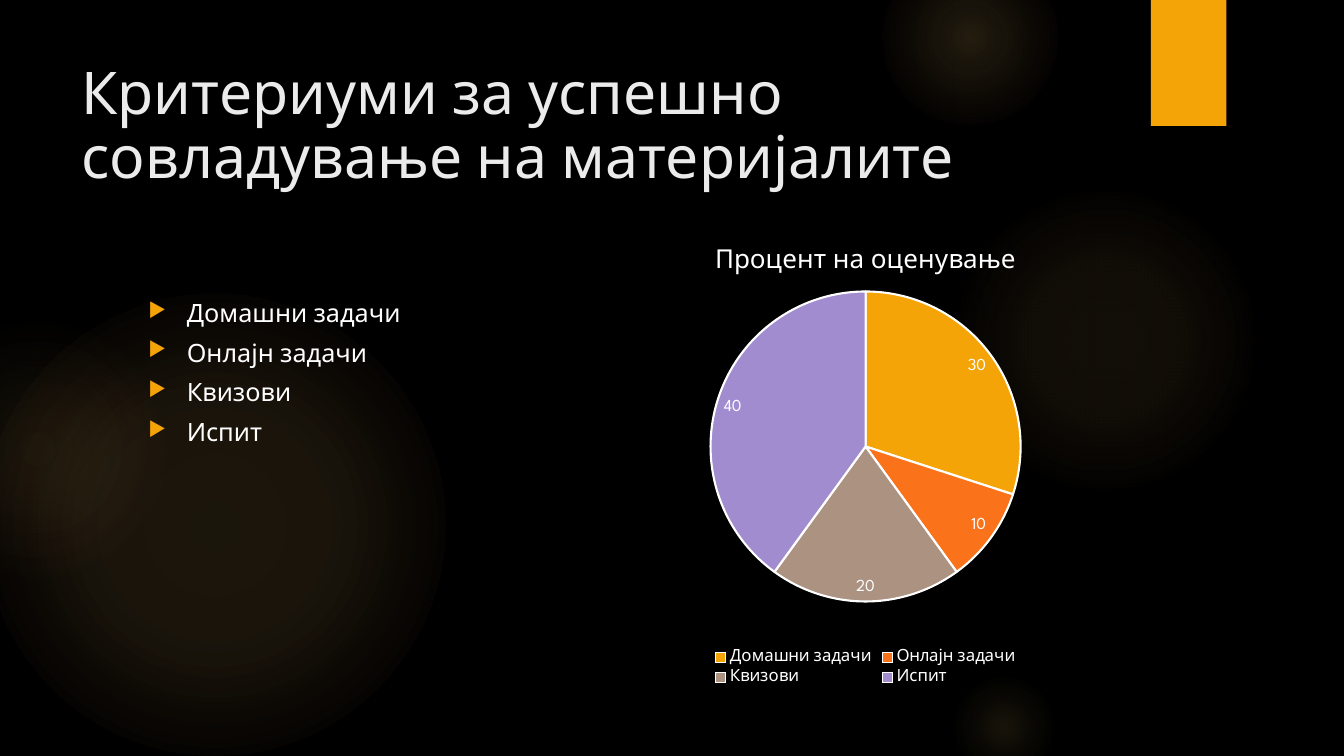
from lxml import etree
from pptx import Presentation
from pptx.chart.data import CategoryChartData
from pptx.dml.color import RGBColor
from pptx.enum.chart import XL_CHART_TYPE as CT, XL_LABEL_POSITION as LP, XL_LEGEND_POSITION as LEG
from pptx.enum.shapes import MSO_SHAPE as SHAPE
from pptx.enum.text import MSO_ANCHOR as ANCHOR, MSO_AUTO_SIZE as FIT, PP_ALIGN as ALIGN
from pptx.oxml import parse_xml
from pptx.oxml.ns import nsdecls, qn
from pptx.util import Inches, Pt

BLACK = RGBColor(0x00, 0x00, 0x00)
WHITE = RGBColor(0xFF, 0xFF, 0xFF)
PALE = RGBColor(0xEB, 0xEB, 0xEB)
AMBER = RGBColor(0xF5, 0xA4, 0x08)
ORANGE = RGBColor(0xFA, 0x73, 0x1A)
TAUPE = RGBColor(0xAB, 0x92, 0x81)
LILAC = RGBColor(0xA1, 0x8C, 0xD0)
GLOW = RGBColor(0xFA, 0xC9, 0x6A)
EMBER = RGBColor(0xF5, 0x9B, 0x74)
FONT = "League Spartan"

prs = Presentation()
prs.slide_width, prs.slide_height = Inches(13.33), Inches(7.5)
COLS = 160
unit = prs.slide_width / COLS


def grid(*cells):
    return [round(c * unit) for c in cells]


def style(font, size, color):
    for name, value in {"name": FONT, "size": Pt(size), "bold": False}.items():
        setattr(font, name, value)
    font.color.rgb = color


s = prs.slides.add_slide(prs.slide_layouts[5])
s.background.fill.solid()
s.background.fill.fore_color.rgb = BLACK

glows = [
    (-2, 35, 55, [(0, GLOW, 11), (36, GLOW, 10), (75, GLOW, 0)]),
    (-11, 38, 31, [(0, GLOW, 8), (36, GLOW, 5), (71, EMBER, 0)]),
    (113, 22, 37, [(0, GLOW, 7), (36, GLOW, 6), (69, GLOW, 0)]),
    (105, -6, 21, [(0, GLOW, 14), (36, GLOW, 7), (73, GLOW, 0)]),
    (113, 80, 13, [(0, GLOW, 10), (31, GLOW, 5), (66, GLOW, 0)]),
]
for col, row, size, stops in glows:
    sp = s.shapes.add_shape(SHAPE.OVAL, *grid(col, row, size, size))
    sp.shadow.inherit = False
    sp.line.fill.background()
    gs = "".join(
        f'<a:gs pos="{pos * 1000}"><a:srgbClr val="{color}">'
        f'<a:alpha val="{alpha * 1000}"/></a:srgbClr></a:gs>'
        for pos, color, alpha in stops)
    geom = sp.element.spPr.find(qn("a:prstGeom"))
    geom.addnext(parse_xml(
        f'<a:gradFill {nsdecls("a")}><a:gsLst>{gs}</a:gsLst><a:path path="circle">'
        '<a:fillToRect l="50000" t="50000" r="50000" b="50000"/></a:path></a:gradFill>'))

sp = s.shapes.add_shape(SHAPE.RECTANGLE, *grid(137, 0, 9, 15))
sp.shadow.inherit = False
sp.fill.solid()
sp.fill.fore_color.rgb = AMBER
sp.line.fill.background()

title = s.shapes.title
title.left, title.top, title.width, title.height = grid(8.5, 6, 123.5, 18.4)
tf = title.text_frame
tf.text = "Критериуми за успешно совладување на материјалите"
for name, value in {"word_wrap": True, "auto_size": FIT.NONE,
                    "vertical_anchor": ANCHOR.MIDDLE}.items():
    setattr(tf, name, value)
p = tf.paragraphs[0]
p.alignment, p.line_spacing = ALIGN.LEFT, 0.9
style(p.runs[0].font, 42, PALE)

criteria = {
    "Домашни задачи": (30, AMBER),
    "Онлајн задачи": (10, ORANGE),
    "Квизови": (20, TAUPE),
    "Испит": (40, LILAC),
}
tf = s.shapes.add_textbox(*grid(16.5, 34.8, 57.7, 55.1)).text_frame
tf.word_wrap = True
tf.text = "\n".join(criteria)
for p in tf.paragraphs:
    p.space_before, p.space_after = Pt(0), Pt(6.75)
    style(p.runs[0].font, 18, WHITE)
    pPr = p._p.get_or_add_pPr()
    indent = Inches(0.38)
    pPr.set("marL", str(indent))
    pPr.set("indent", str(-indent))
    color = etree.SubElement(pPr, qn("a:buClr"))
    etree.SubElement(color, qn("a:srgbClr"), val=str(AMBER))
    etree.SubElement(pPr, qn("a:buSzPct"), val="80000")
    etree.SubElement(pPr, qn("a:buChar"), char="▶")

data = CategoryChartData()
data.categories = list(criteria)
data.add_series("Series 1", [value for value, _ in criteria.values()])
chart = s.shapes.add_chart(CT.PIE, *grid(74.2, 27, 57.7, 55.1), data).chart
style(chart.font, 10, WHITE)
chart.has_title = True
tf = chart.chart_title.text_frame
tf.text = "Процент на оценување"
style(tf.paragraphs[0].runs[0].font, 18.6, WHITE)
chart.has_legend = True
chart.legend.position = LEG.BOTTOM
chart.legend.include_in_layout = False
style(chart.legend.font, 12, WHITE)

plot = chart.plots[0]
plot.vary_by_categories = True
plot.has_data_labels = True
labels = plot.data_labels
for name, value in {"show_value": True, "show_percentage": False,
                    "position": LP.INSIDE_END}.items():
    setattr(labels, name, value)
style(labels.font, 12, WHITE)
for i, (_, color) in enumerate(criteria.values()):
    fmt = plot.series[0].points[i].format
    fmt.fill.solid()
    fmt.fill.fore_color.rgb = color
    fmt.line.color.rgb = WHITE
    fmt.line.width = Pt(1.5)

area = chart._chartSpace.chart.plotArea
for layout in area.findall(qn("c:layout")):
    area.remove(layout)
frame = {"x": 0.176, "y": 0.141, "w": 0.637, "h": 0.666}
sizes = "".join(f'<c:{k} val="{v:.2f}"/>' for k, v in frame.items())
area.insert(0, parse_xml(
    f'<c:layout {nsdecls("c")}><c:manualLayout><c:layoutTarget val="inner"/>'
    f'<c:xMode val="edge"/><c:yMode val="edge"/>{sizes}</c:manualLayout></c:layout>'))

prs.save("out.pptx")
